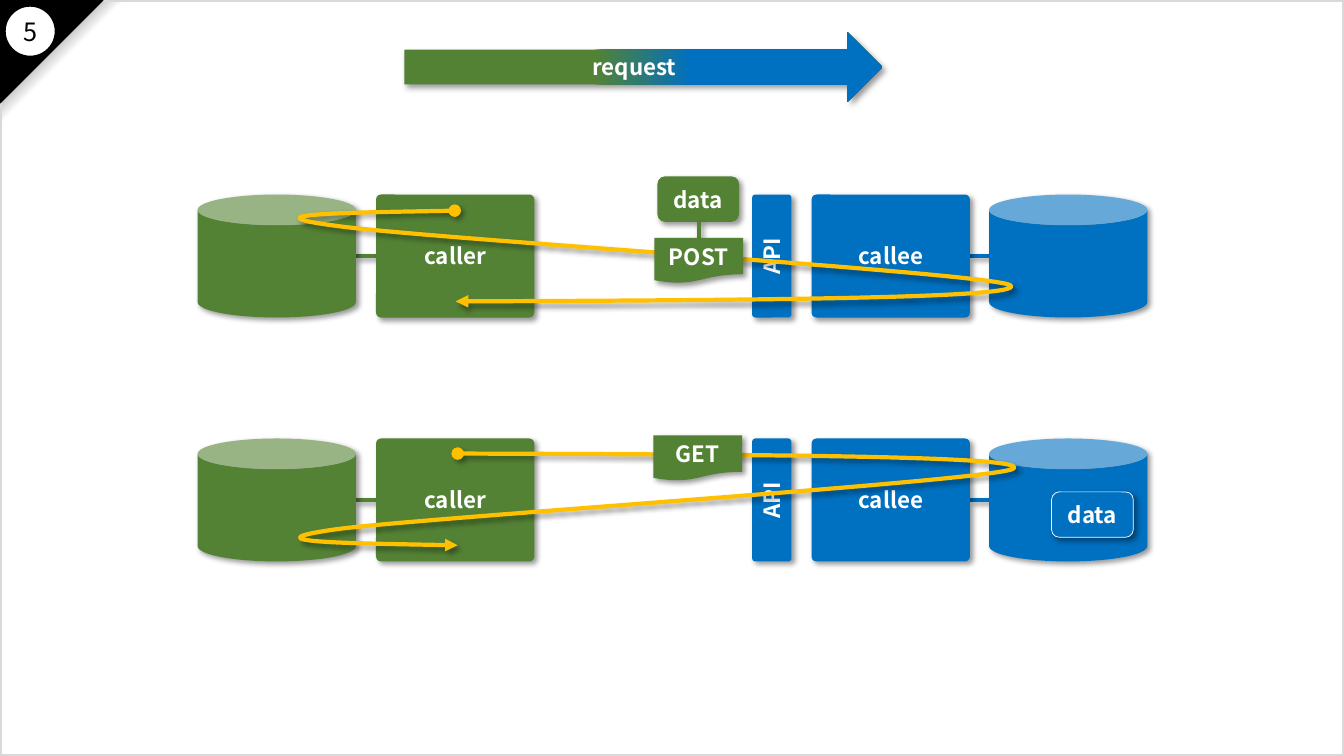
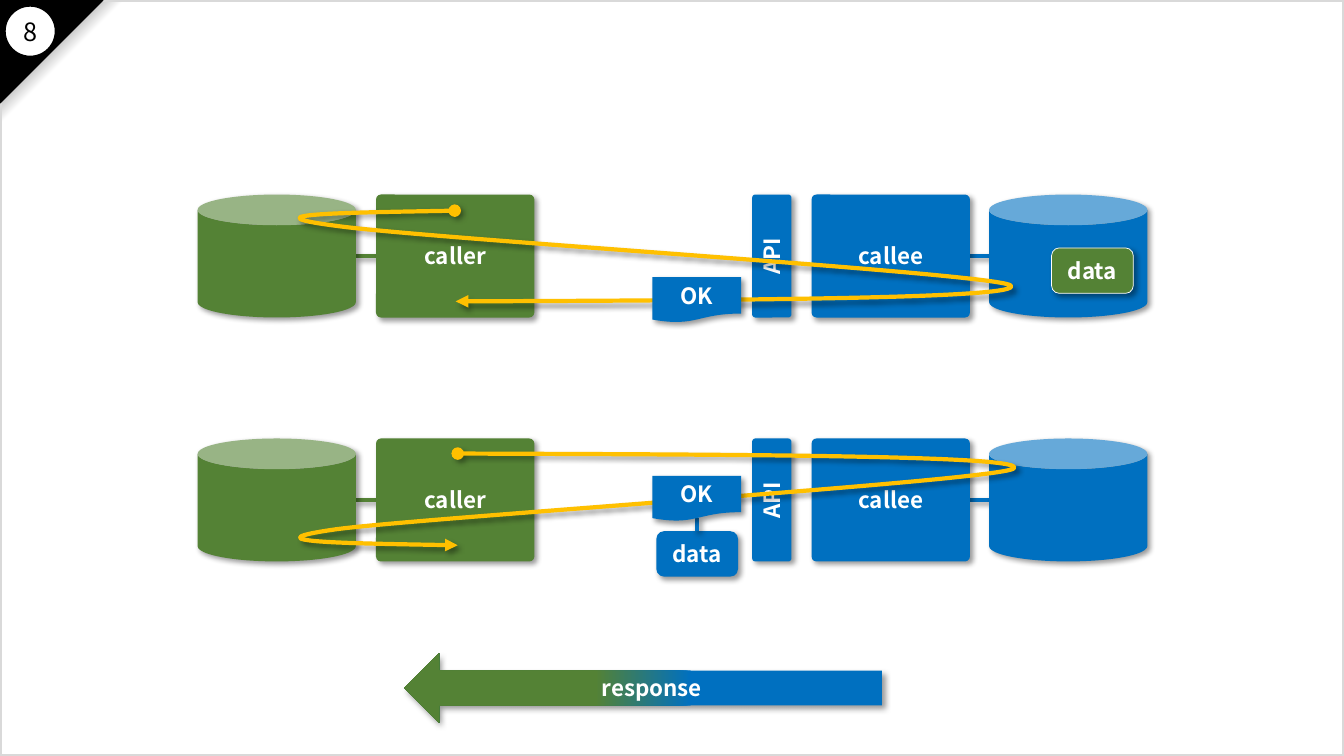
import pptx
import pptx.util
import pptx.dml.color
import pptx.enum.shapes
import pptx.enum.text
import pptx.oxml
import pptx.oxml.ns
import lxml.etree

PX = 9144
SLIDE_W, SLIDE_H = 1333, 750
FONT = "Noto Sans CJK JP"

RGB = pptx.dml.color.RGBColor
GREEN = RGB(0x54, 0x82, 0x35)
BLUE = RGB(0x00, 0x70, 0xC0)
AMBER = RGB(0xFF, 0xC0, 0x00)
WHITE = RGB(0xFF, 0xFF, 0xFF)
GRAY = RGB(0x80, 0x80, 0x80)
SILVER = RGB(0xD9, 0xD9, 0xD9)
BLACK = RGB(0x00, 0x00, 0x00)

KIND = pptx.enum.shapes.MSO_SHAPE
qn = pptx.oxml.ns.qn

ROW_TOPS = (193, 435)
ROW_H = 122
ROW_PARTS = [
    (KIND.CAN, "", 196, 157, GREEN),
    (KIND.ROUNDED_RECTANGLE, "caller", 373, 157, GREEN),
    (KIND.ROUNDED_RECTANGLE, "API", 746, 39, BLUE),
    (KIND.ROUNDED_RECTANGLE, "callee", 805, 157, BLUE),
    (KIND.CAN, "", 981, 157, BLUE),
]
ROW_LINKS = [(352, 373, GREEN), (962, 981, BLUE)]
CORNER = 4

FLOWS = [
    {"box": (298, 209, 705, 90), "start": (451, 209), "curves": [
        ((346, 211), (241, 212), (333, 224)),
        ((425, 237), (982, 271), (1002, 283)),
        ((1021, 296), (737, 298), (452, 299))]},
    {"box": (299, 450, 707, 90), "start": (454, 450), "curves": [
        ((739, 451), (1025, 452), (1005, 465)),
        ((985, 477), (426, 513), (334, 525)),
        ((242, 538), (348, 539), (454, 541))]},
]

ARROW_X, ARROW_W, ARROW_H = 401, 474, 69
MESSAGE_W, DATA_W, TAG_H = 88, 81, 45

SLIDES = [
    {"number": "5", "color": GREEN,
     "arrow": {"text": "request", "top": 32, "ends": (GREEN, BLUE), "flip": False},
     "stored": (1043, 488, BLUE),
     "carried": (652, 175),
     "stem": (693, 220, 236),
     "messages": [("POST", 649, 236), ("GET", 648, 432)]},
    {"number": "8", "color": BLUE,
     "arrow": {"text": "response", "top": 648, "ends": (BLUE, GREEN), "flip": True},
     "stored": (1043, 246, GREEN),
     "carried": (651, 527),
     "stem": (691, 527, 514),
     "messages": [("OK", 647, 275), ("OK", 647, 472)]},
]


def add_shadow(shape):
    properties = shape.element.spPr
    effects = properties.find(qn("a:effectLst"))
    if effects is None:
        effects = lxml.etree.SubElement(properties, qn("a:effectLst"))
    shadow = lxml.etree.SubElement(
        effects, qn("a:outerShdw"), blurRad=str(pptx.util.Pt(4)),
        dist=str(pptx.util.Pt(3)), dir="2700000", algn="tl", rotWithShape="0")
    color = lxml.etree.SubElement(shadow, qn("a:srgbClr"), val=str(BLACK))
    lxml.etree.SubElement(color, qn("a:alpha"), val="40000")


def set_line(shape, color, width):
    if color is None:
        shape.line.fill.background()
    else:
        shape.line.color.rgb = color
        shape.line.width = pptx.util.Pt(width)


def set_gradient(shape, stops, angle):
    shape.fill.gradient()
    shape.fill.gradient_angle = angle
    stop_list = shape.element.spPr.find(".//" + qn("a:gsLst"))
    for stop in list(stop_list):
        stop_list.remove(stop)
    for position, color in stops:
        stop = lxml.etree.SubElement(stop_list, qn("a:gs"), pos=str(position * 1000))
        lxml.etree.SubElement(stop, qn("a:srgbClr"), val=str(color))


def write(shape, text, size, color, bold):
    frame = shape.text_frame
    frame.vertical_anchor = pptx.enum.text.MSO_ANCHOR.MIDDLE
    para = frame.paragraphs[0]
    para.alignment = pptx.enum.text.PP_ALIGN.CENTER
    span = para.add_run()
    span.text = text
    span.font.name = FONT
    span.font.size = pptx.util.Pt(size)
    span.font.bold = bold
    span.font.color.rgb = color


def add_shape(page, kind, box, fill=None, text="", line=None, width=1, shadow=True):
    shape = page.shapes.add_shape(kind, *(value * PX for value in box))
    shape.shadow.inherit = False
    if fill is None:
        shape.fill.background()
    else:
        shape.fill.solid()
        shape.fill.fore_color.rgb = fill
    set_line(shape, line, width)
    if shadow:
        add_shadow(shape)
    if text:
        write(shape, text, 16, WHITE, True)
    return shape


def add_link(page, start, end, color):
    link = page.shapes.add_connector(
        pptx.enum.shapes.MSO_CONNECTOR.STRAIGHT,
        *(value * PX for value in start + end))
    set_line(link, color, 3)
    add_shadow(link)


def add_flow(page, flow):
    left, top, width, height = flow["box"]
    builder = page.shapes.build_freeform(left, top, scale=PX)
    builder.add_line_segments([(left + width, top + height)], close=False)
    shape = builder.convert_to_shape()
    shape.shadow.inherit = False
    shape.fill.background()
    set_line(shape, AMBER, 3)

    outline = shape.element.spPr.find(".//" + qn("a:path"))
    for step in list(outline):
        outline.remove(step)
    steps = [("a:moveTo", [flow["start"]])]
    steps += [("a:cubicBezTo", curve) for curve in flow["curves"]]
    for tag, points in steps:
        step = lxml.etree.SubElement(outline, qn(tag))
        for x, y in points:
            lxml.etree.SubElement(step, qn("a:pt"), x=str(x - left), y=str(y - top))

    stroke = shape.element.spPr.find(qn("a:ln"))
    for tag, style in (("a:headEnd", "oval"), ("a:tailEnd", "triangle")):
        lxml.etree.SubElement(stroke, qn(tag), type=style)
    add_shadow(shape)


def add_frame(page, number):
    fold = add_shape(page, KIND.RIGHT_TRIANGLE, (0, 0, 123, 123), WHITE, shadow=False)
    set_gradient(fold, [(0, WHITE), (50, WHITE), (70, GRAY), (100, BLACK)], 225)
    fold.rotation = 90
    add_shape(page, KIND.RECTANGLE, (0, 0, SLIDE_W, SLIDE_H),
              line=SILVER, width=3, shadow=False)
    corner = add_shape(page, KIND.RIGHT_TRIANGLE, (0, 0, 102, 102), BLACK,
                       line=BLACK, shadow=False)
    corner.rotation = 90
    add_shape(page, KIND.OVAL, (5, 6, 50, 50), WHITE, line=BLACK, shadow=False)
    box = page.shapes.add_textbox(*(value * PX for value in (12, 11, 36, 40)))
    box.text_frame.word_wrap = False
    box.text_frame.auto_size = pptx.enum.text.MSO_AUTO_SIZE.SHAPE_TO_FIT_TEXT
    write(box, number, 18, BLACK, False)


def add_system(page):
    for top in ROW_TOPS:
        for start, end, color in ROW_LINKS:
            middle = top + ROW_H // 2
            add_link(page, (start, middle), (end, middle), color)
        for kind, text, left, width, color in ROW_PARTS:
            part = add_shape(page, kind, (left, top, width, ROW_H), color, text)
            if kind == KIND.ROUNDED_RECTANGLE:
                part.adjustments[0] = CORNER * 1.33 / min(width, ROW_H) if width > ROW_H \
                    else 0.08
                part.adjustments[0] = round(part.adjustments[0], 2)
            if text == "API":
                part.text_frame._txBody.bodyPr.set("vert", "vert270")
    for flow in FLOWS:
        add_flow(page, flow)


def add_arrow(page, arrow):
    first, last = arrow["ends"]
    shape = add_shape(page, KIND.RIGHT_ARROW,
                      (ARROW_X, arrow["top"], ARROW_W, ARROW_H), first, arrow["text"])
    set_gradient(shape, [(0, first), (40, first), (60, last), (100, last)], 0)
    if arrow["flip"]:
        shape.element.spPr.find(qn("a:xfrm")).set("flipH", "1")


def add_slide(deck, content):
    page = deck.slides.add_slide(deck.slide_layouts[6])
    color = content["color"]
    add_frame(page, content["number"])
    add_system(page)
    add_arrow(page, content["arrow"])

    left, top, stored_color = content["stored"]
    add_shape(page, KIND.ROUNDED_RECTANGLE, (left, top, DATA_W, TAG_H),
              stored_color, "data", WHITE, 0.5)
    add_shape(page, KIND.ROUNDED_RECTANGLE, content["carried"] + (DATA_W, TAG_H),
              color, "data")
    x, start, end = content["stem"]
    add_link(page, (x, start), (x, end), color)
    for text, left, top in content["messages"]:
        add_shape(page, KIND.FLOWCHART_DOCUMENT, (left, top, MESSAGE_W, TAG_H),
                  color, text)


def main():
    deck = pptx.Presentation()
    deck.slide_width = SLIDE_W * PX
    deck.slide_height = SLIDE_H * PX
    for content in SLIDES:
        add_slide(deck, content)
    deck.save("out.pptx")


if __name__ == "__main__":
    main()
